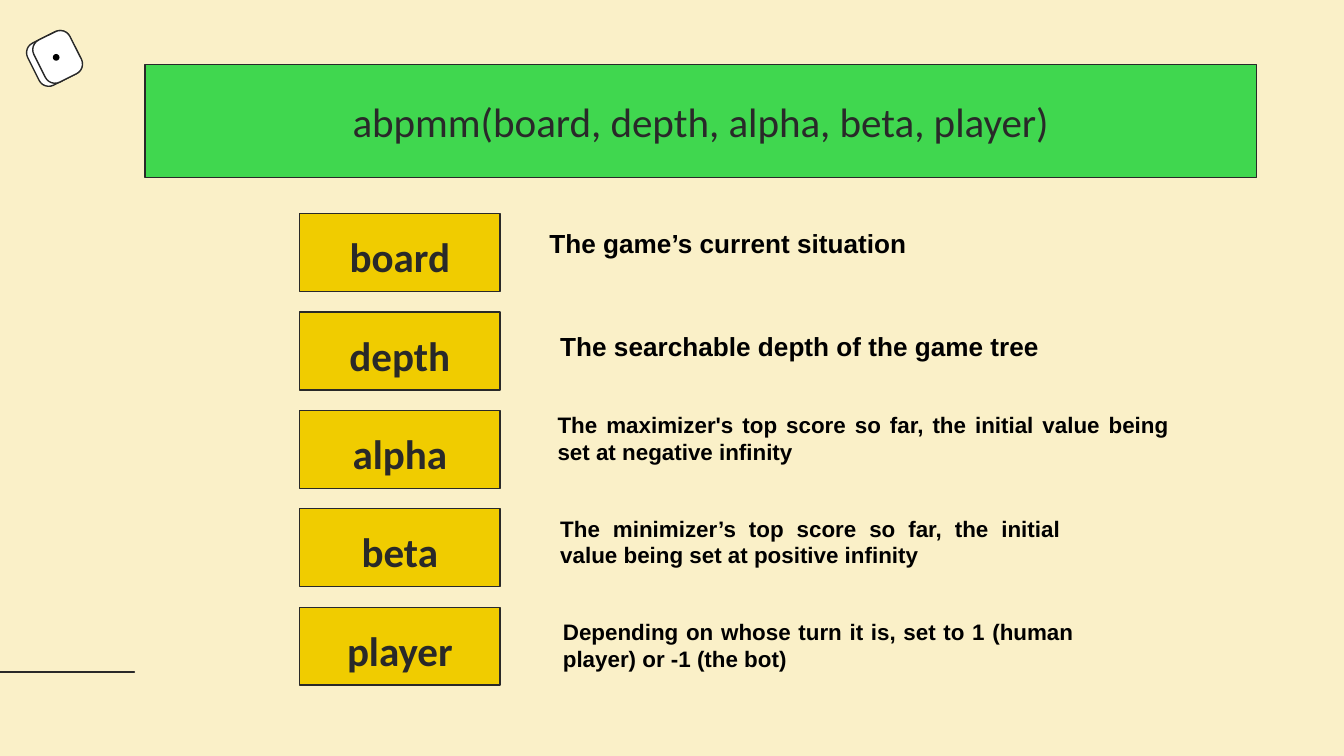
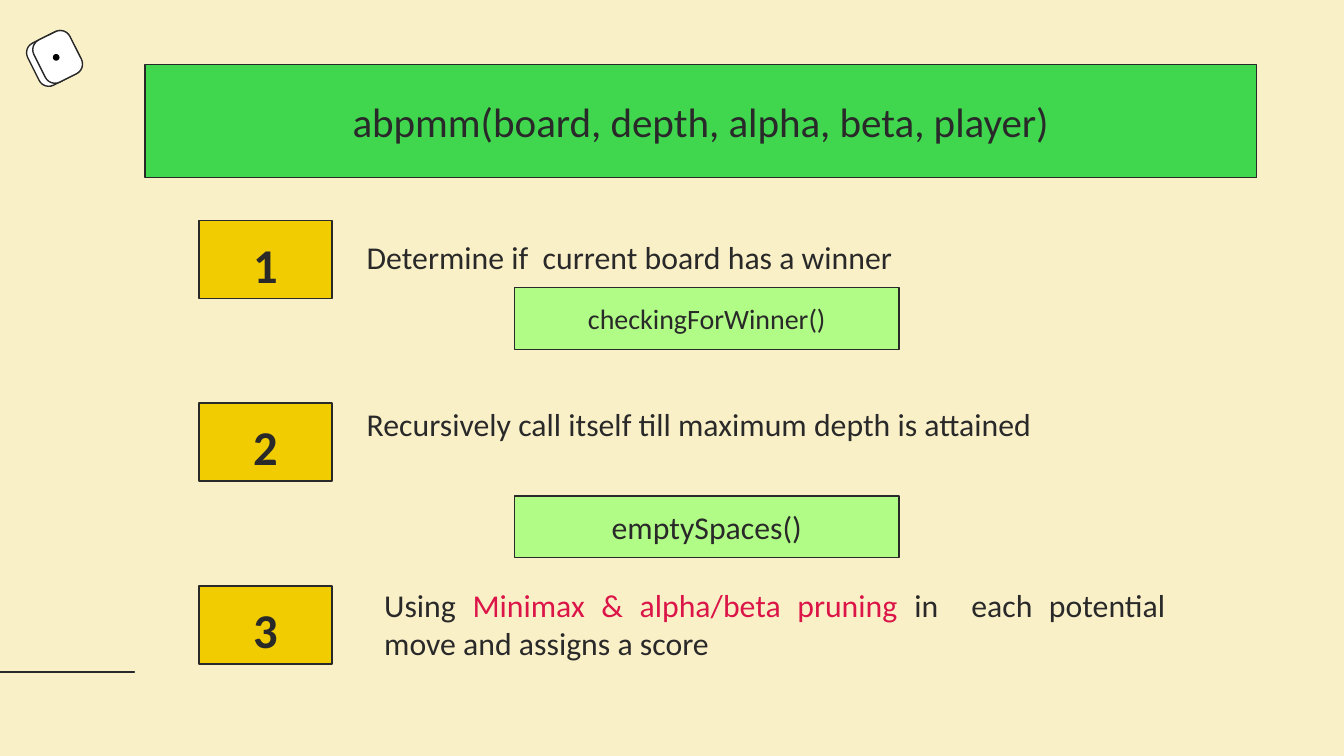
from pptx import Presentation, util as u
from pptx.dml.color import RGBColor
from pptx.enum import shapes, text

# Grid: 100 columns by 56.25 rows of square cells
COLS, ROWS = 100, 56.25
W, H = u.Inches(10), u.Inches(5.625)
CELL = W / COLS

CREAM, INK, BLACK, WHITE = "FAF0C8", "292929", "000000", "FFFFFF"
GREEN, LIME, GOLD, RED = "40D74F", "B1FC86", "F0CC00", "DB1548"
RECT, ROUND, OVAL = (shapes.MSO_SHAPE.RECTANGLE, shapes.MSO_SHAPE.ROUNDED_RECTANGLE,
                     shapes.MSO_SHAPE.OVAL)
CENTER, JUSTIFY, LEFT = (text.PP_ALIGN.CENTER, text.PP_ALIGN.JUSTIFY,
                         text.PP_ALIGN.LEFT)

SIGNATURE = "abpmm(board, depth, alpha, beta, player)"
BODY = {"name": "Calibri", "size": u.Pt(17)}
BOLD_22 = {"name": "Calibri", "size": u.Pt(22), "bold": True}
BOLD_26 = {**BOLD_22, "size": u.Pt(26)}

# Puzzle outline in inches: a pair is a line end, six numbers are a curve
PUZZLE_START = (.33, 4.74)
PUZZLE = [
    (.33, 4.73, .34, 4.71, .35, 4.71), (.73, 4.62),
    (.75, 4.61, .76, 4.62, .77, 4.64), (.8, 4.78),
    (.8, 4.78, .79, 4.79, .79, 4.79), (.75, 4.8), (.74, 4.8),
    (.72, 4.79, .7, 4.78, .68, 4.79), (.64, 4.8, .62, 4.83, .63, 4.87),
    (.63, 4.87, .63, 4.88, .64, 4.88), (.65, 4.91, .67, 4.93, .7, 4.92),
    (.73, 4.92, .75, 4.91, .76, 4.89), (.76, 4.88, .77, 4.88, .77, 4.88),
    (.8, 4.87), (.81, 4.87, .82, 4.87, .82, 4.88), (.86, 5.05), (.7, 5.08),
    (.69, 5.09, .68, 5.09, .68, 5.1), (.69, 5.14),
    (.69, 5.14, .7, 5.14, .7, 5.15), (.72, 5.16, .73, 5.17, .74, 5.19),
    (.74, 5.23, .73, 5.26, .7, 5.27), (.66, 5.29, .61, 5.27, .6, 5.22),
    (.6, 5.2, .6, 5.18, .61, 5.17), (.62, 5.16, .62, 5.16, .62, 5.15),
    (.61, 5.12), (.61, 5.11, .6, 5.11, .59, 5.11), (.46, 5.14),
    (.44, 5.14, .42, 5.13, .42, 5.12),
]


def rgb(color):
    return RGBColor.from_string(color)


def grid(*cells):
    return [round(c * CELL) for c in cells]


def paint(sp, fill, line=INK):
    sp.shadow.inherit = False
    sp.fill.solid()
    sp.fill.fore_color.rgb = rgb(fill)
    if line:
        sp.line.color.rgb = rgb(line)
        sp.line.width = u.Pt(.75)
    else:
        sp.line.fill.background()


def write(sp, runs, font, align, spacing=None):
    """Fill a shape with one paragraph of (words, colour) runs."""
    tf = sp.text_frame
    tf.word_wrap = True
    for side in ("left", "right", "top", "bottom"):
        setattr(tf, f"margin_{side}", u.Inches(.1))
    p = tf.paragraphs[0]
    p.alignment = align
    if spacing:
        p.line_spacing = spacing
    for words, color in runs:
        r = p.add_run()
        r.text = words
        for key, value in font.items():
            setattr(r.font, key, value)
        r.font.color.rgb = rgb(color)
    return tf


def label(s, box, words, fill, font, spacing=None):
    sp = s.shapes.add_shape(RECT, *grid(*box))
    paint(sp, fill)
    tf = write(sp, [(words, INK)], font, CENTER, spacing)
    tf.vertical_anchor = text.MSO_ANCHOR.MIDDLE


def note(s, box, runs, font, align=JUSTIFY):
    sp = s.shapes.add_textbox(*grid(*box))
    write(sp, runs, font, align).vertical_anchor = text.MSO_ANCHOR.TOP


def die_part(s, kind, center, size, fill, line=INK, corner=None):
    (x, y), (w, h) = center, size
    sp = s.shapes.add_shape(kind, *grid(x - w / 2, y - h / 2, w, h))
    sp.rotation = 333.4
    if corner:
        sp.adjustments[0] = corner / min(size)
    paint(sp, fill, line)


def die(s):
    die_part(s, ROUND, (4.05, 4.35), (3.5, 3.5), WHITE, corner=.8)
    die_part(s, ROUND, (4.29, 4.23), (3, 3.5), WHITE, corner=.8)
    die_part(s, OVAL, (4.18, 4.27), (.5, .5), BLACK, line=None)


def curve(a, b, c, d, steps=6):
    """Points along a cubic curve, without its start."""
    for t in (i / steps for i in range(1, steps + 1)):
        k = 1 - t
        yield tuple(k**3 * m + 3 * k * k * t * n + 3 * k * t * t * o + t**3 * q
                    for m, n, o, q in zip(a, b, c, d))


def puzzle(s):
    points = [PUZZLE_START]
    for seg in PUZZLE:
        if len(seg) == 2:
            points.append(seg)
        else:
            points.extend(curve(points[-1], seg[:2], seg[2:4], seg[4:]))
    fb = s.shapes.build_freeform(*points[0], scale=u.Inches(1))
    fb.add_line_segments(points[1:], close=True)
    paint(fb.convert_to_shape(), RED)


def new_slide(prs):
    """Blank slide with the shared ornaments and title band."""
    s = prs.slides.add_slide(prs.slide_layouts[6])
    puzzle(s)
    die(s)
    label(s, (10.8, 4.8, 82.7, 8.4), SIGNATURE, GREEN, {**BODY, "size": u.Pt(22)})
    return s


def parameters_slide(prs):
    s = new_slide(prs)
    # name, left, top, width, height, size, meaning
    rows = [
        ("board", 39.9, 15.9, 42, 4.4, 14, "The game’s current situation"),
        ("depth", 40.7, 23.6, 52.8, 4.4, 14, "The searchable depth of the game tree"),
        ("alpha", 40.5, 29.6, 47.5, 6.1, 12, "The maximizer's top score so far, "
         "the initial value being set at negative infinity"),
        ("beta", 40.7, 37.3, 39.2, 6.1, 12, "The minimizer’s top score so far, "
         "the initial value being set at positive infinity"),
        ("player", 40.9, 45, 40, 6.1, 12, "Depending on whose turn it is, "
         "set to 1 (human player) or -1 (the bot)"),
    ]
    for i, (name, x, y, w, h, size, meaning) in enumerate(rows):
        label(s, (22.3, 15.9 + 7.32 * i, 14.9, 5.8), name, GOLD, BOLD_22, 1.15)
        font = {"name": "Arial", "size": u.Pt(size), "bold": True}
        note(s, (x, y, w, h), [(meaning, BLACK)], font)


def steps_slide(prs):
    s = new_slide(prs)
    # Step text
    note(s, (26.3, 16.7, 60.1, 4.7),
         [("Determine if  current board has a winner", INK)], BODY, LEFT)
    note(s, (26.3, 29.1, 60.1, 7.8),
         [("Recursively call itself till maximum depth is attained", INK)], BODY, LEFT)
    note(s, (27.6, 42.6, 60.1, 7.7),
         [("Using ", INK), ("Minimax & alpha/beta pruning", RED),
          (" in  each potential move and assigns a score", INK)], BODY)
    # Step numbers
    for i in range(3):
        label(s, (14.8, 16.4 + 13.6 * i, 9.9, 5.8), str(i + 1), GOLD, BOLD_26, 1.15)
    # Helper functions
    for y, name, size in ((21.4, "checkingForWinner()", 15), (36.9, "emptySpaces()", 17)):
        label(s, (38.3, y, 28.6, 4.6), name, LIME, {**BODY, "size": u.Pt(size)})


def main():
    prs = Presentation()
    prs.slide_width, prs.slide_height = W, H
    fill = prs.slide_master.background.fill
    fill.solid()
    fill.fore_color.rgb = rgb(CREAM)
    parameters_slide(prs)
    steps_slide(prs)
    prs.save("out.pptx")


if __name__ == "__main__":
    main()
